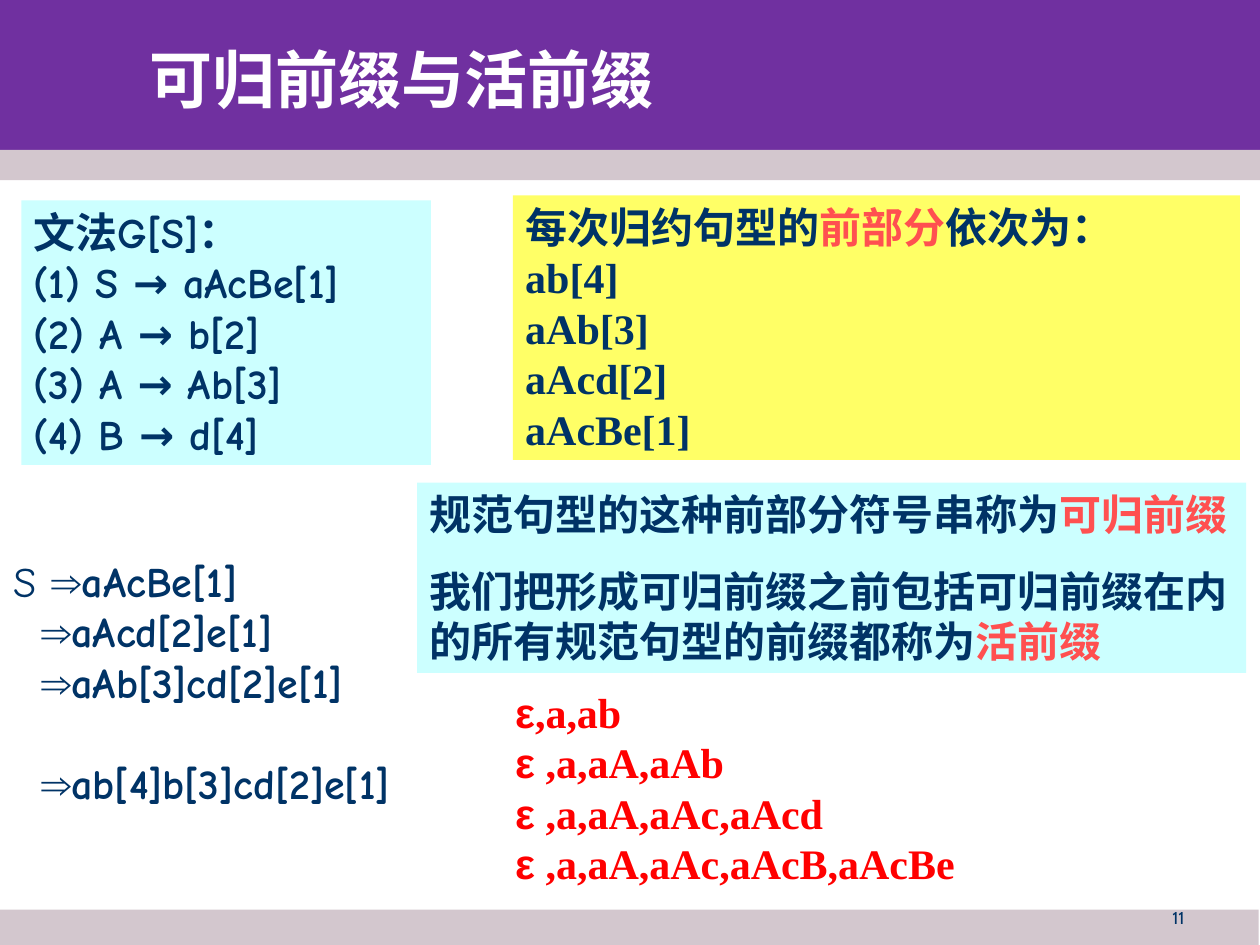
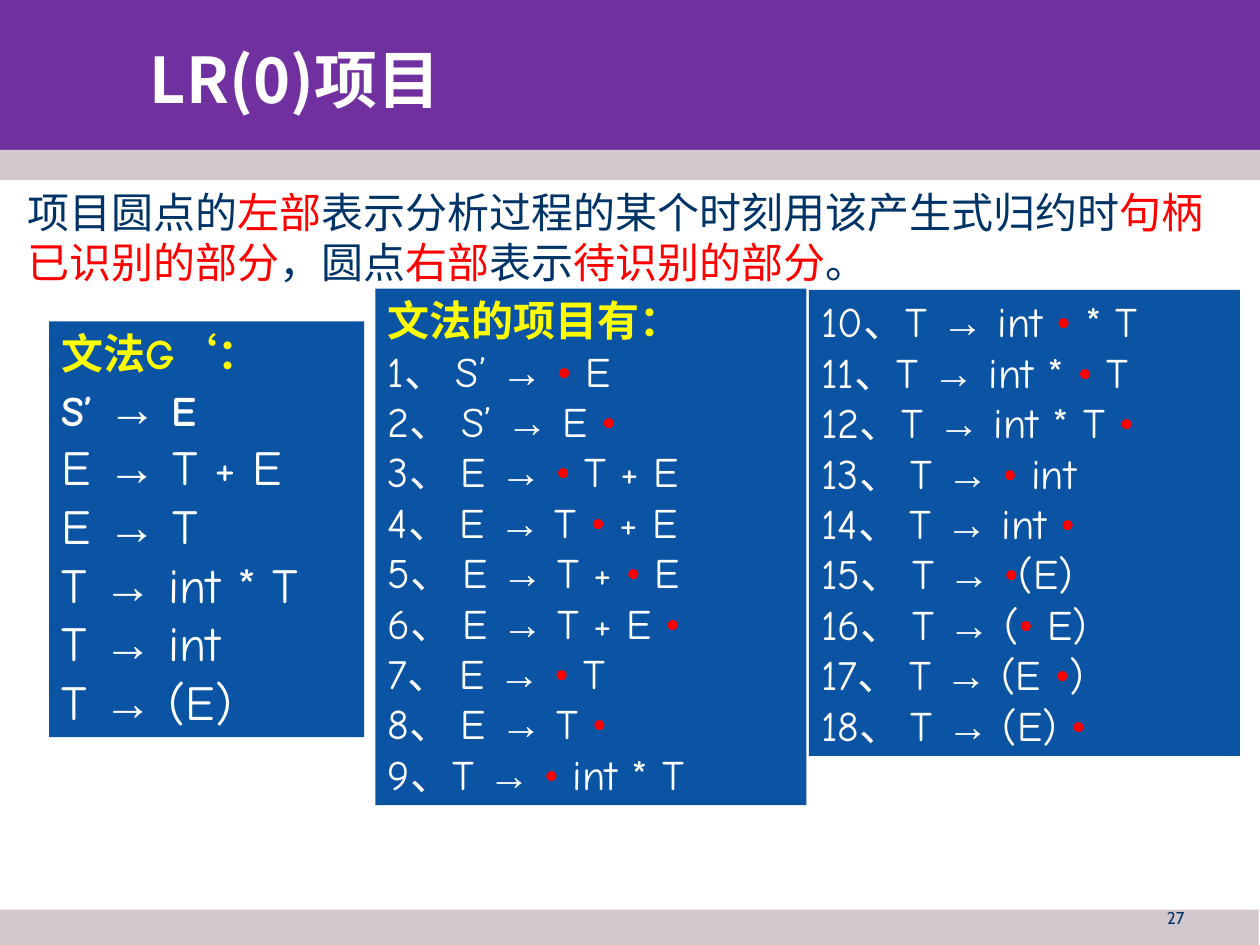
"""Builds two slides on viable prefixes and LR(0) items."""
import dataclasses
import itertools

import lxml.etree
import pptx
import pptx.dml.color
import pptx.enum.shapes
import pptx.enum.text
import pptx.oxml.ns
import pptx.util

RGB = pptx.dml.color.RGBColor
PURPLE = RGB(0x70, 0x30, 0xA0)
MAUVE = RGB(0xD3, 0xC7, 0xCE)
NAVY = RGB(0x00, 0x33, 0x66)
BLUE = RGB(0x0B, 0x54, 0xA3)
CYAN = RGB(0xCC, 0xFF, 0xFF)
LEMON = RGB(0xFF, 0xFF, 0x66)
YELLOW = RGB(0xFF, 0xFF, 0x00)
CORAL = RGB(0xFF, 0x50, 0x50)
RED = RGB(0xFF, 0x00, 0x00)
WHITE = RGB(0xFF, 0xFF, 0xFF)

HAN, COMIC, TIMES = "Noto Sans CJK SC", "Comic Neue", "Times New Roman"
CELL = pptx.util.Inches(0.1)
LEADING = 1.2
RECTANGLE = pptx.enum.shapes.MSO_SHAPE.RECTANGLE


@dataclasses.dataclass(frozen=True)
class Style:
    """Font settings of a run."""
    font: str
    color: RGB
    size: float = 24
    bold: bool = False


TITLE = Style(HAN, WHITE, 36, True)
NUMBER = Style("Cabin", NAVY, 9.8)
GRAMMAR = Style(COMIC, NAVY, bold=True)
PROSE = Style(TIMES, NAVY, bold=True)
PREFIX = Style(TIMES, RED, bold=True)
HEADING = Style(COMIC, YELLOW, bold=True)
ITEM = Style(COMIC, WHITE)
RULE = Style(COMIC, WHITE, 28)
ITEM_SYMBOLS = {"→": {"font": "Arial"}, "•": {"font": TIMES, "color": RED}}
RULE_SYMBOLS = {"→": {"font": "Arial", "size": 28, "bold": False}}


def grid(*cells):
    """Turns columns and rows of the 100 by 75 grid into lengths."""
    return [round(cell * CELL) for cell in cells]


def add_run(p, text, style):
    """Adds one formatted run to a paragraph."""
    r = p.add_run()
    r.text = text
    r.font.size = pptx.util.Pt(style.size)
    r.font.bold = style.bold
    r.font.color.rgb = style.color
    r.font.name = style.font
    ea = lxml.etree.SubElement(r._r.get_or_add_rPr(), pptx.oxml.ns.qn("a:ea"))
    ea.set("typeface", HAN)


def add_line(p, line, style, accent, symbols):
    """Writes a line; text between bars is accented, symbols get their own font."""
    sizes = [style.size]
    for i, part in enumerate(line.split("|")):
        base = dataclasses.replace(style, color=accent) if i % 2 else style
        for key, chars in itertools.groupby(part, lambda c: c if c in symbols else ""):
            run_style = dataclasses.replace(base, **symbols.get(key, {}))
            sizes.append(run_style.size)
            add_run(p, "".join(chars), run_style)
    p.line_spacing = pptx.util.Pt(LEADING * max(sizes))


def paint(sp, fill):
    """Gives a shape a plain fill with no line or shadow."""
    sp.shadow.inherit = False
    sp.fill.solid()
    sp.fill.fore_color.rgb = fill
    sp.line.fill.background()


def add_text(slide, cells, lines, style, fill=None, accent=CORAL, symbols=None, gap=0):
    """Adds a text panel with a paragraph per line; a line may carry its own style."""
    if fill is None:
        sp = slide.shapes.add_textbox(*grid(*cells))
    else:
        sp = slide.shapes.add_shape(RECTANGLE, *grid(*cells))
        paint(sp, fill)
    tf = sp.text_frame
    tf.word_wrap = True
    tf.vertical_anchor = pptx.enum.text.MSO_ANCHOR.TOP
    for i, line in enumerate(lines):
        text, line_style = line if isinstance(line, tuple) else (line, style)
        p = tf.add_paragraph() if i else tf.paragraphs[0]
        p.alignment = pptx.enum.text.PP_ALIGN.LEFT
        if i and gap:
            p.space_before = pptx.util.Pt(gap)
        add_line(p, text, line_style, accent, symbols or {})
    return tf


def add_bands(layout, slide):
    """Puts the coloured bands on the layout, behind everything else."""
    bands = [((0, 0, 100, 13.1), PURPLE), ((0, 11.9, 100, 2.4), MAUVE),
             ((0, 72.2, 99.9, 3), MAUVE)]
    for i, (cells, fill) in enumerate(bands):
        sp = slide.shapes.add_shape(RECTANGLE, *grid(*cells))
        paint(sp, fill)
        layout.shapes._spTree.insert(2 + i, sp._element)


def add_slide(prs, layout, title, number):
    """Adds a slide with its title and number."""
    slide = prs.slides.add_slide(layout)
    sp = slide.shapes.title
    sp.left, sp.top, sp.width, sp.height = grid(10.9, 1.6, 84.8, 9.2)
    sp.text_frame.vertical_anchor = pptx.enum.text.MSO_ANCHOR.MIDDLE
    p = sp.text_frame.paragraphs[0]
    p.alignment = pptx.enum.text.PP_ALIGN.LEFT
    add_run(p, title, TITLE)
    tf = add_text(slide, (71.7, 71.8, 23.3, 3.1), [number], NUMBER)
    tf.paragraphs[0].alignment = pptx.enum.text.PP_ALIGN.RIGHT
    tf.paragraphs[0].line_spacing = 0.8
    return slide


def fill_prefix_slide(slide):
    """Shows a derivation and its reducible and viable prefixes."""
    add_text(slide, (1.7, 15.9, 32.5, 21),
             ["文法G[S]：", "(1) S → aAcBe[1]", "(2) A → b[2]",
              "(3) A → Ab[3]", "(4) B → d[4]"], GRAMMAR, CYAN)
    tf = add_text(slide, (0.1, 43.6, 37.7, 21),
                  ["S ⇒aAcBe[1]", "⇒aAcd[2]e[1]", "⇒aAb[3]cd[2]e[1]",
                   "⇒ab[4]b[3]cd[2]e[1]"], GRAMMAR,
                  symbols={"S": {"bold": False}, "⇒": {"font": "Arial"}})
    for p in tf.paragraphs[1:]:
        p._p.get_or_add_pPr().set("marL", str(round(2.2 * CELL)))
    tf.paragraphs[-1].space_before = pptx.util.Pt(LEADING * GRAMMAR.size)
    add_text(slide, (40.7, 15.5, 57.7, 21),
             ["每次归约句型的|前部分|依次为：", "ab[4]", "aAb[3]", "aAcd[2]", "aAcBe[1]"],
             PROSE, LEMON)
    add_text(slide, (33.1, 38.3, 65.8, 15.1),
             ["规范句型的这种前部分符号串称为|可归前缀|",
              "我们把形成可归前缀之前包括可归前缀在内的所有规范句型的前缀都称为|活前缀|"],
             PROSE, CYAN, gap=15)
    add_text(slide, (39.9, 54, 61.7, 17),
             ["ε,a,ab", "ε ,a,aA,aAb", "ε ,a,aA,aAc,aAcd", "ε ,a,aA,aAc,aAcB,aAcBe"],
             PREFIX, symbols={"ε": {"font": "Arial"}})


def fill_item_slide(slide):
    """Shows a grammar and all of its LR(0) items."""
    add_text(slide, (3.9, 25.5, 25, 33),
             [("文法G‘：", HEADING), ("S’ → E", dataclasses.replace(ITEM, bold=True)),
              "E → T + E", "E → T", "T → int * T", "T → int", "T → (E)"],
             RULE, BLUE, symbols=RULE_SYMBOLS)
    add_text(slide, (29.8, 22.9, 34.2, 41),
             [("文法的项目有：", HEADING), "1、 S’ → • E", "2、 S’ → E •",
              "3、 E → • T + E", "4、 E → T • + E", "5、 E → T + • E",
              "6、 E → T + E •", "7、 E → • T", "8、 E → T •", "9、T → • int * T"],
             ITEM, BLUE, symbols=ITEM_SYMBOLS)
    add_text(slide, (64.2, 23, 34.2, 37),
             ["10、T → int • * T", "11、T → int * • T", "12、T → int * T •",
              "13、 T → • int", "14、 T → int •", "15、 T → •(E)",
              "16、 T → (• E)", "17、 T → (E •)", "18、 T → (E) •"],
             ITEM, BLUE, symbols=ITEM_SYMBOLS)
    add_text(slide, (1.2, 14.3, 97.2, 9),
             ["项目圆点的|左部|表示分析过程的某个时刻用该产生式归约时|句柄已识别的部分|"
              "，圆点|右部|表示|待识别的部分|。"],
             dataclasses.replace(PROSE, bold=False), accent=RED)


def main():
    """Builds and saves the presentation."""
    prs = pptx.Presentation()
    prs.slide_width, prs.slide_height = grid(100, 75)
    layout = prs.slide_layouts[5]
    slide = add_slide(prs, layout, "可归前缀与活前缀", "11")
    add_bands(layout, slide)
    fill_prefix_slide(slide)
    fill_item_slide(add_slide(prs, layout, "LR(0)项目", "27"))
    prs.save("out.pptx")


if __name__ == "__main__":
    main()
